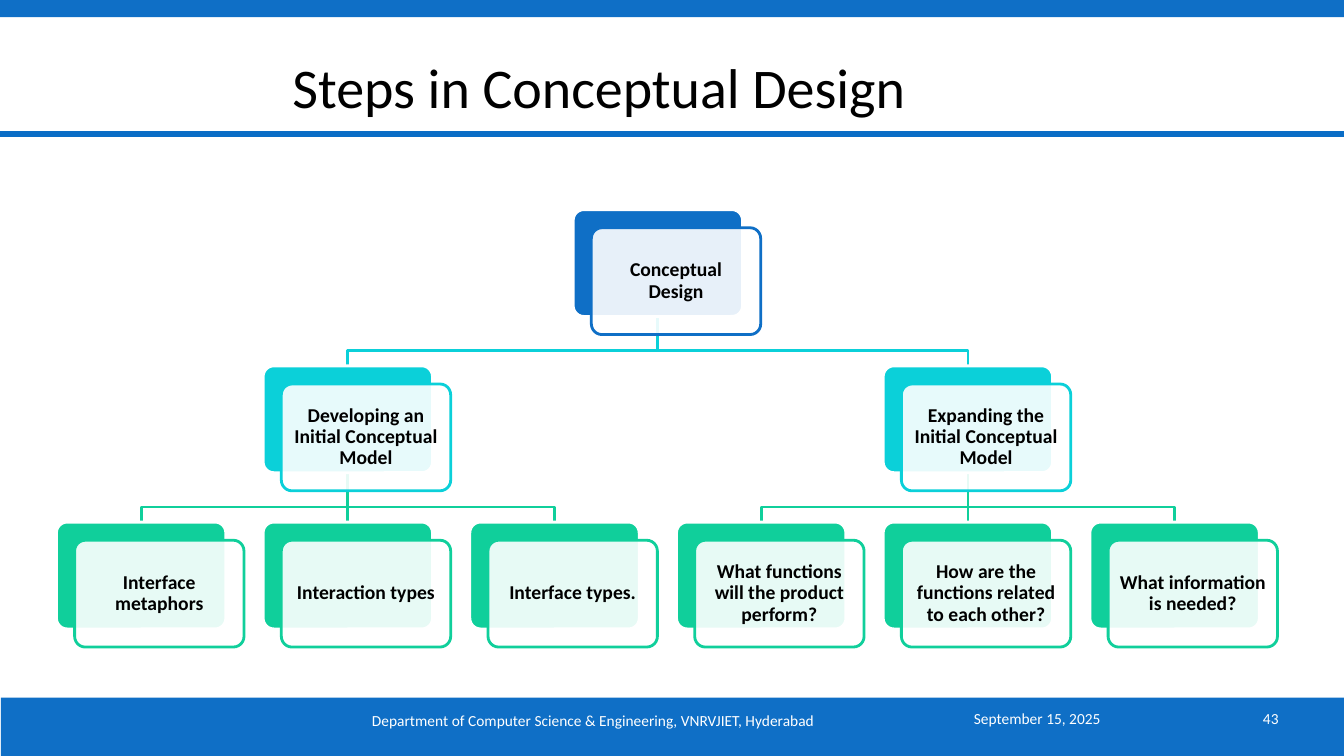
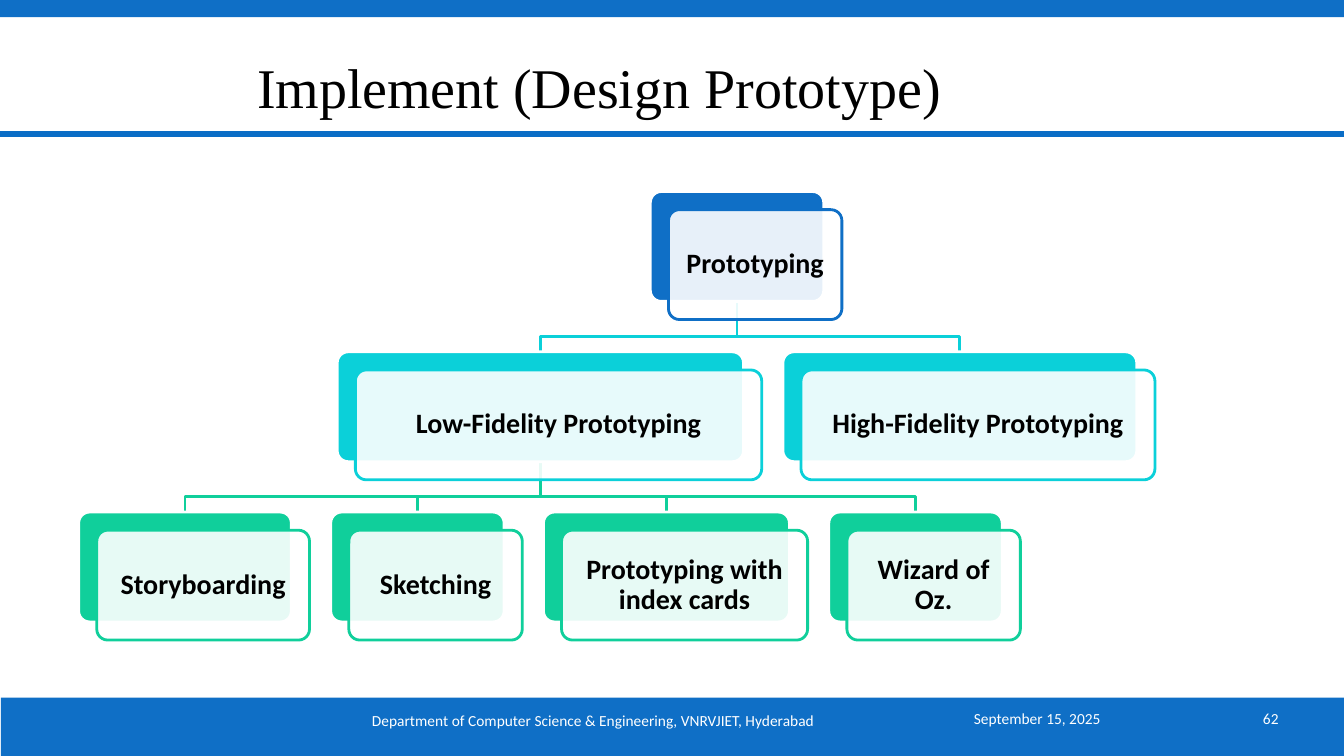
from dataclasses import dataclass, field
from typing import Any

import lxml.etree
import pptx
import pptx.dml.color
import pptx.enum.shapes
import pptx.enum.text
import pptx.oxml.ns
import pptx.util

Inches = pptx.util.Inches
Pt = pptx.util.Pt
RGB = pptx.dml.color.RGBColor
Align = pptx.enum.text.PP_ALIGN
Mid = pptx.enum.text.MSO_ANCHOR.MIDDLE
Kind = pptx.enum.shapes.MSO_SHAPE
qn = pptx.oxml.ns.qn


@dataclass(frozen=True)
class Theme:
    band: RGB = RGB(0x0F, 0x6F, 0xC6)
    rule: RGB = RGB(0x0A, 0x6D, 0xC6)
    ink: RGB = RGB(0, 0, 0)
    white: RGB = RGB(255, 255, 255)
    tiers: tuple[RGB, ...] = (
        RGB(0x0F, 0x6F, 0xC6), RGB(0x0B, 0xD0, 0xD9), RGB(0x10, 0xCF, 0x9B))
    font: str = "Calibri"
    title: int = 40
    foot: int = 11
    edge: int = 2
    thick: int = 4


@dataclass
class Node:
    text: str
    kids: list["Node"] = field(default_factory=list)
    wide: float = 1.68
    tier: int = 0
    left: float = 0
    back: Any = None

    @property
    def mid(self) -> float:
        return self.left + self.wide / 2


@dataclass(frozen=True)
class Chart:
    """Sizes of one tree: the first card's corner, row step, gap and text."""
    left: float
    top: float
    step: float
    high: float
    gap: float
    inset: float
    size: int


@dataclass(frozen=True)
class Page:
    title: str
    font: str
    number: str
    chart: Chart
    root: Node


@dataclass(frozen=True)
class Foot:
    text: str
    box: tuple[float, float, float, float]
    align: Any
    inset: float = 0.1


THEME = Theme()
WIDE, HIGH = 13.33, 7.5
SHIFT = (0.18, 0.18)
BEND = 0.15
FEET = (
    Foot("September 15, 2025", (9.56, 6.93, 2, 0.4), Align.LEFT),
    Foot("Department of Computer Science & Engineering, VNRVJIET, Hyderabad",
         (2.22, 6.95, 7.33, 0.4), Align.CENTER),
)
PAGES = (
    Page("Steps in Conceptual Design", "Calibri", "43",
         Chart(0.56, 2.08, 1.55, 1.06, 0.37, 0.06, 14),
         Node("Conceptual Design", [
             Node("Developing an Initial Conceptual Model", [
                 Node("Interface metaphors"),
                 Node("Interaction types"),
                 Node("Interface types.")]),
             Node("Expanding the Initial Conceptual Model", [
                 Node("What functions will the product perform?"),
                 Node("How are the functions related to each other?"),
                 Node("What information is needed?")])])),
    Page("Implement (Design Prototype)", "Times New Roman", "62",
         Chart(0.78, 1.9, 1.59, 1.09, 0.39, 0.08, 20),
         Node("Prototyping", [
             Node("Low-Fidelity Prototyping", [
                 Node("Storyboarding", wide=2.11),
                 Node("Sketching", wide=1.72),
                 Node("Prototyping with index cards", wide=2.44),
                 Node("Wizard of Oz.", wide=1.72)], wide=4.03),
             Node("High-Fidelity Prototyping", wide=3.51)], wide=1.72)),
)


def apply(thing: Any, values: dict[str, Any]) -> None:
    for name, value in values.items():
        setattr(thing, name, value)


def write(shape: Any, text: str, size: int, color: RGB, align: Any,
          font: str = THEME.font, bold: bool = False) -> Any:
    """Put one styled paragraph in the shape and return it."""
    frame = shape.text_frame
    frame.text = text
    apply(frame, {"word_wrap": True, "vertical_anchor": Mid,
                  "auto_size": pptx.enum.text.MSO_AUTO_SIZE.NONE})
    para = frame.paragraphs[0]
    para.alignment = align
    apply(para.font, {"name": font, "size": Pt(size), "bold": bold})
    para.font.color.rgb = color
    return para


def block(shapes: Any, kind: Any, box: tuple[float, ...], fill: RGB,
          edge: RGB | None = None) -> Any:
    shape = shapes.add_shape(kind, *map(Inches, box))
    shape.shadow.inherit = False
    shape.fill.solid()
    shape.fill.fore_color.rgb = fill
    if edge is None:
        shape.line.fill.background()
    else:
        stroke(shape, edge, THEME.edge)
    return shape


def stroke(shape: Any, color: RGB, width: int) -> None:
    shape.line.color.rgb = color
    shape.line.width = Pt(width)


def straight(shapes: Any, start: tuple[float, float],
             end: tuple[float, float], color: RGB, width: int) -> Any:
    line = shapes.add_connector(pptx.enum.shapes.MSO_CONNECTOR.STRAIGHT,
                                *map(Inches, start + end))
    stroke(line, color, width)
    lxml.etree.SubElement(line.element.spPr, qn("a:effectLst"))
    return line


def frame(layout: Any, slide: Any) -> None:
    """Draw bands and rule on a slide, then hand them to its layout."""
    shapes = slide.shapes
    parts = (
        block(shapes, Kind.RECTANGLE, (0.01, 6.92, WIDE, 0.58), THEME.band),
        block(shapes, Kind.RECTANGLE, (0, 0, WIDE, 0.17), THEME.band),
        straight(shapes, (0, 1.33), (WIDE, 1.33), THEME.rule, THEME.thick),
    )
    for part in parts:
        layout.shapes.element.append(part.element)


def place(node: Node, chart: Chart, ends: dict[int, float],
          tier: int = 0) -> None:
    """Pack leaves from the left and centre each parent over its kids."""
    node.tier = tier
    for kid in node.kids:
        place(kid, chart, ends, tier + 1)
    if node.kids:
        first, last = node.kids[0], node.kids[-1]
        node.left = (first.left + last.left + last.wide - node.wide) / 2
    else:
        node.left = ends.get(tier, chart.left)
    ends[tier] = node.left + node.wide + chart.gap


def card(shapes: Any, node: Node, chart: Chart) -> None:
    color = THEME.tiers[node.tier]
    top = chart.top + node.tier * chart.step
    size = (node.wide, chart.high)
    node.back = block(shapes, Kind.ROUNDED_RECTANGLE,
                      (node.left, top) + size, color, THEME.white)
    front = block(shapes, Kind.ROUNDED_RECTANGLE,
                  (node.left + SHIFT[0], top + SHIFT[1]) + size,
                  THEME.white, color)
    for shape in (node.back, front):
        shape.adjustments[0] = 0.1
    tint = front.element.spPr.find(".//" + qn("a:srgbClr"))
    lxml.etree.SubElement(tint, qn("a:alpha")).set("val", "90000")
    sides = ("left", "top", "right", "bottom")
    apply(front.text_frame,
          {f"margin_{side}": Inches(chart.inset) for side in sides})
    para = write(front, node.text, chart.size, THEME.ink, Align.CENTER,
                 bold=True)
    para.line_spacing = 0.9


def link(shapes: Any, node: Node, kid: Node, chart: Chart) -> None:
    """Join two cards with a line that lies behind all cards."""
    color = THEME.tiers[kid.tier]
    end = chart.top + kid.tier * chart.step
    start = end - chart.step + chart.high
    if abs(node.mid - kid.mid) < 0.02:
        line = straight(shapes, (node.mid, start), (kid.mid, end),
                        color, THEME.edge)
        line.begin_connect(node.back, 2)
        line.end_connect(kid.back, 0)
    else:
        turn = Inches(end - BEND)
        near, far = Inches(node.mid), Inches(kid.mid)
        path = shapes.build_freeform(near, Inches(start))
        path.add_line_segments(
            [(near, turn), (far, turn), (far, Inches(end))], close=False)
        line = path.convert_to_shape()
        line.shadow.inherit = False
        line.fill.background()
        stroke(line, color, THEME.edge)
    shapes.element.insert(2, line.element)


def tree(shapes: Any, node: Node, chart: Chart) -> None:
    card(shapes, node, chart)
    for kid in node.kids:
        tree(shapes, kid, chart)
        link(shapes, node, kid, chart)


def fill(slide: Any, page: Page) -> None:
    write(slide.shapes.title, page.title, THEME.title, THEME.ink,
          Align.CENTER, page.font)
    number = Foot(page.number, (11.67, 6.93, 1.11, 0.4), Align.RIGHT, 0)
    for foot in FEET + (number,):
        box = slide.shapes.add_textbox(*map(Inches, foot.box))
        box.text_frame.margin_left = Inches(foot.inset)
        write(box, foot.text, THEME.foot, THEME.white, foot.align)
    place(page.root, page.chart, {})
    tree(slide.shapes, page.root, page.chart)


def main() -> None:
    deck = pptx.Presentation()
    apply(deck, {"slide_width": Inches(WIDE), "slide_height": Inches(HIGH)})
    layout = deck.slide_layouts.get_by_name("Title Only")
    apply(layout.placeholders.get(idx=0),
          {"left": Inches(0.22), "top": Inches(0.38),
           "width": Inches(11.44), "height": Inches(0.95)})
    slides = [deck.slides.add_slide(layout) for _ in PAGES]
    frame(layout, slides[0])
    for slide, page in zip(slides, PAGES):
        fill(slide, page)
    deck.save("out.pptx")


if __name__ == "__main__":
    main()
